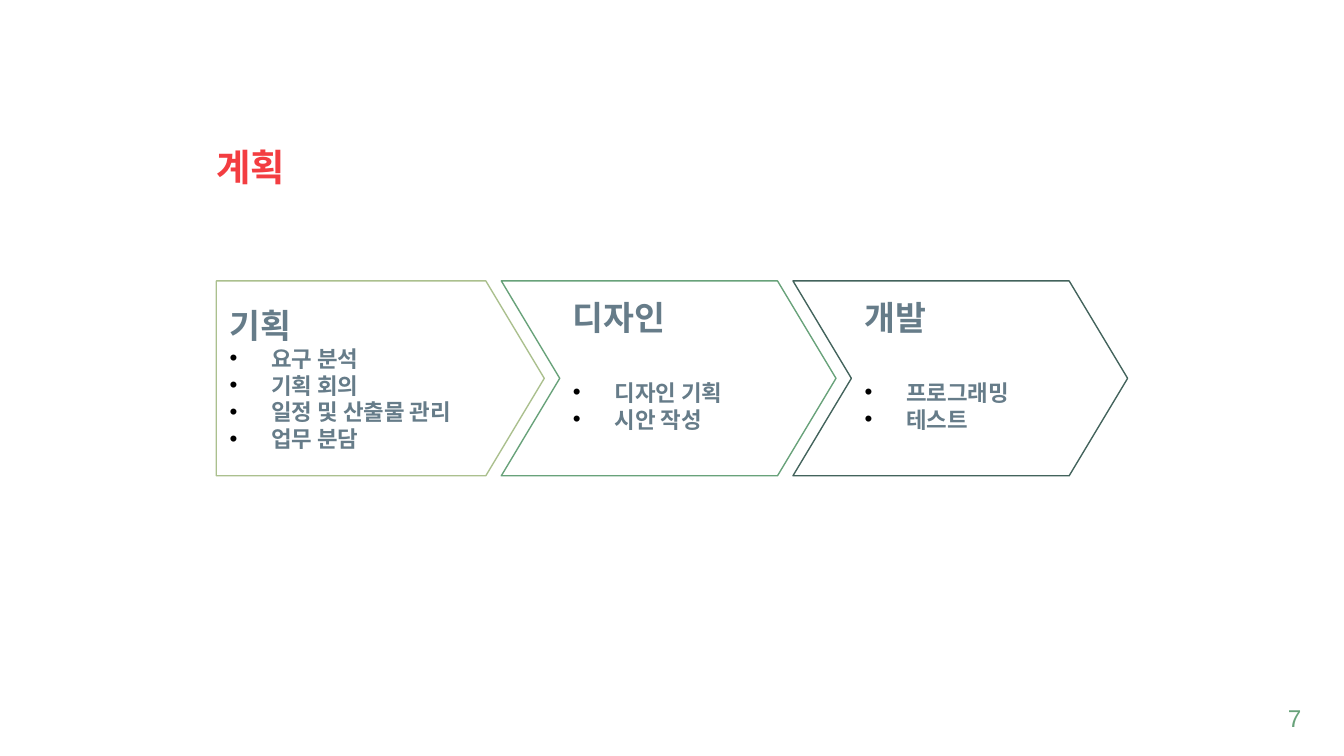
"""Build a project plan slide with three process arrows."""
from lxml import etree
from pptx import Presentation
from pptx.dml.color import RGBColor
from pptx.enum.shapes import MSO_SHAPE
from pptx.enum.text import MSO_ANCHOR, MSO_AUTO_SIZE, PP_ALIGN
from pptx.oxml.ns import qn
from pptx.util import Inches, Pt

PENTAGON, CHEVRON = MSO_SHAPE.PENTAGON, MSO_SHAPE.CHEVRON
MIDDLE, NO_FIT = MSO_ANCHOR.MIDDLE, MSO_AUTO_SIZE.NONE
LEFT, RIGHT = PP_ALIGN.LEFT, PP_ALIGN.RIGHT
COLORS = {"title": "F33D41", "text": "667C89", "bullet": "000000",
          "planning": "ABC08E", "design": "68A27A", "development": "43635C"}
STAGES = [
    (PENTAGON, 1.61, 2.44, "planning", "기획",
     ["요구 분석", "기획 회의", "일정 및 산출물 관리", "업무 분담"], 0, 0.1),
    (CHEVRON, 3.73, 2.49, "design", "디자인", ["디자인 기획", "시안 작성"], 22, 0.3),
    (CHEVRON, 5.9, 2.49, "development", "개발", ["프로그래밍", "테스트"], 22, 0.3),
]


def format_text(paragraph, size, font_name, color, bold=True, alignment=LEFT):
    paragraph.alignment = alignment
    for run in paragraph.runs:
        run.font.size = Pt(size)
        run.font.name = font_name
        run.font.bold = bold
        run.font.color.rgb = RGBColor.from_string(COLORS[color])


def add_bullet(paragraph):
    properties = paragraph._p.get_or_add_pPr()
    indent = Inches(0.31)
    properties.set("marL", str(indent))
    properties.set("indent", str(-indent))
    bullet_color = etree.SubElement(properties, qn("a:buClr"))
    etree.SubElement(bullet_color, qn("a:srgbClr"), val=COLORS["bullet"])
    etree.SubElement(properties, qn("a:buFont"), typeface="Arial")
    etree.SubElement(properties, qn("a:buChar"), char="•")


presentation = Presentation()
presentation.slide_width = Inches(10)
presentation.slide_height = Inches(10 * 9 / 16)
slide = presentation.slides.add_slide(presentation.slide_layouts[5])

title = slide.shapes.title
title.left, title.top = Inches(1.61), Inches(1.01)
title.width, title.height = Inches(6.77), Inches(0.5)
title_frame = title.text_frame
title_frame.text = "계획"
title_frame.auto_size = NO_FIT
title_frame.vertical_anchor = MIDDLE
title_frame.margin_left = title_frame.margin_right = 0
title_frame.margin_top = title_frame.margin_bottom = 0
title_frame.paragraphs[0].line_spacing = 0.9
format_text(title_frame.paragraphs[0], 20, "Arial", "title")

for kind, left, width, color, heading, tasks, heading_gap, bottom_margin in STAGES:
    arrow = slide.shapes.add_shape(
        kind, Inches(left), Inches(2.09), Inches(width), Inches(1.45))
    arrow.adjustments[0] = 0.3
    arrow.shadow.inherit = False
    arrow.fill.background()
    arrow.line.color.rgb = RGBColor.from_string(COLORS[color])
    arrow.line.width = Pt(0.75)

    frame = arrow.text_frame
    frame.word_wrap = True
    frame.vertical_anchor = MIDDLE
    frame.margin_left = frame.margin_right = frame.margin_top = Inches(0.1)
    frame.margin_bottom = Inches(bottom_margin)
    frame.text = heading
    frame.paragraphs[0].space_after = Pt(heading_gap)
    format_text(frame.paragraphs[0], 18, "Lato", "text")
    for task in tasks:
        paragraph = frame.add_paragraph()
        paragraph.text = task
        format_text(paragraph, 12, "Lato", "text")
        add_bullet(paragraph)

page_number = slide.shapes.add_textbox(
    Inches(9.18), Inches(5.13), Inches(0.6), Inches(0.29))
number_frame = page_number.text_frame
number_frame.word_wrap = True
number_frame.margin_left = number_frame.margin_right = Inches(0.1)
number_frame.margin_top = number_frame.margin_bottom = Inches(0.1)
number_frame.text = "7"
format_text(number_frame.paragraphs[0], 13, "Arial", "design", False, RIGHT)

presentation.save("out.pptx")
